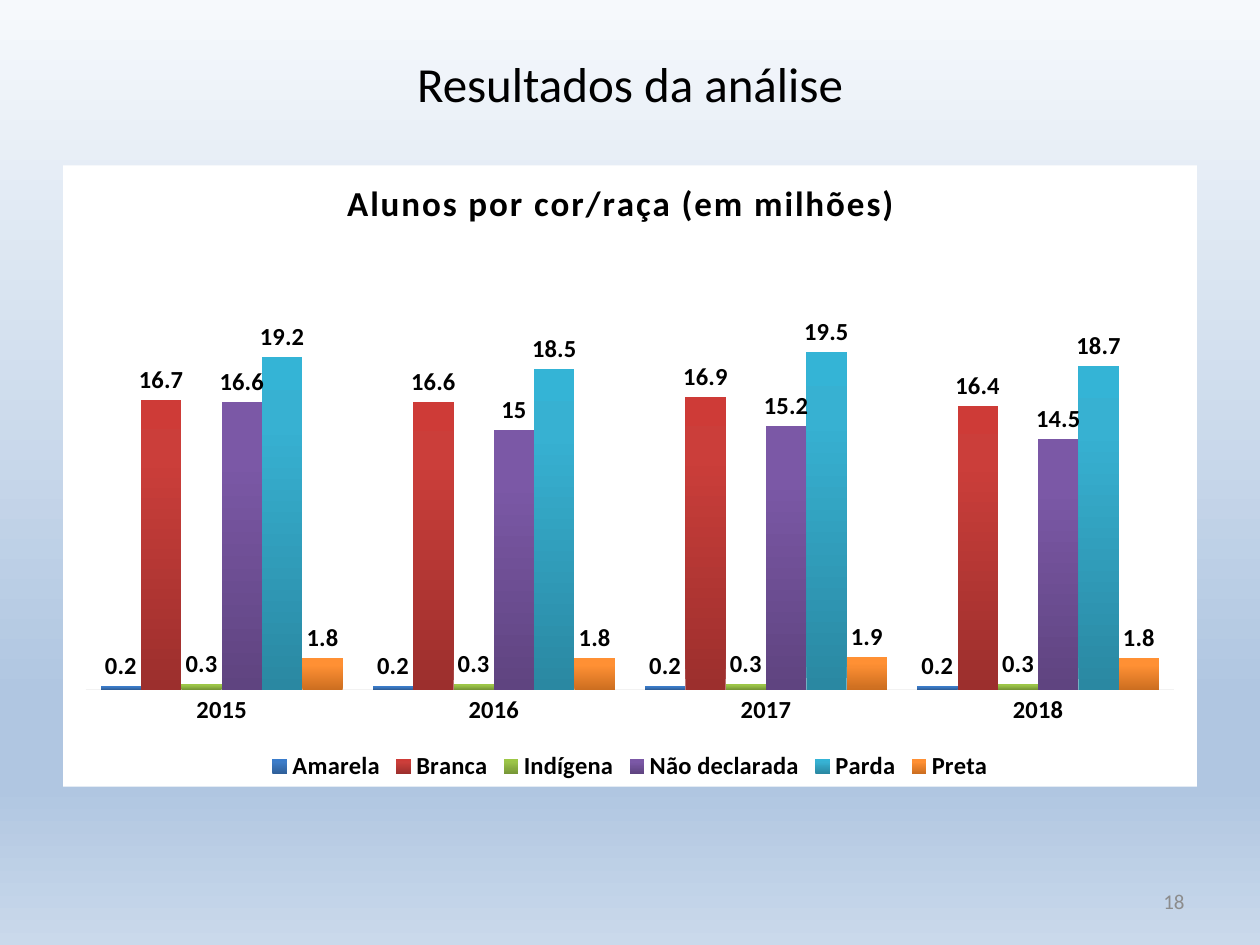
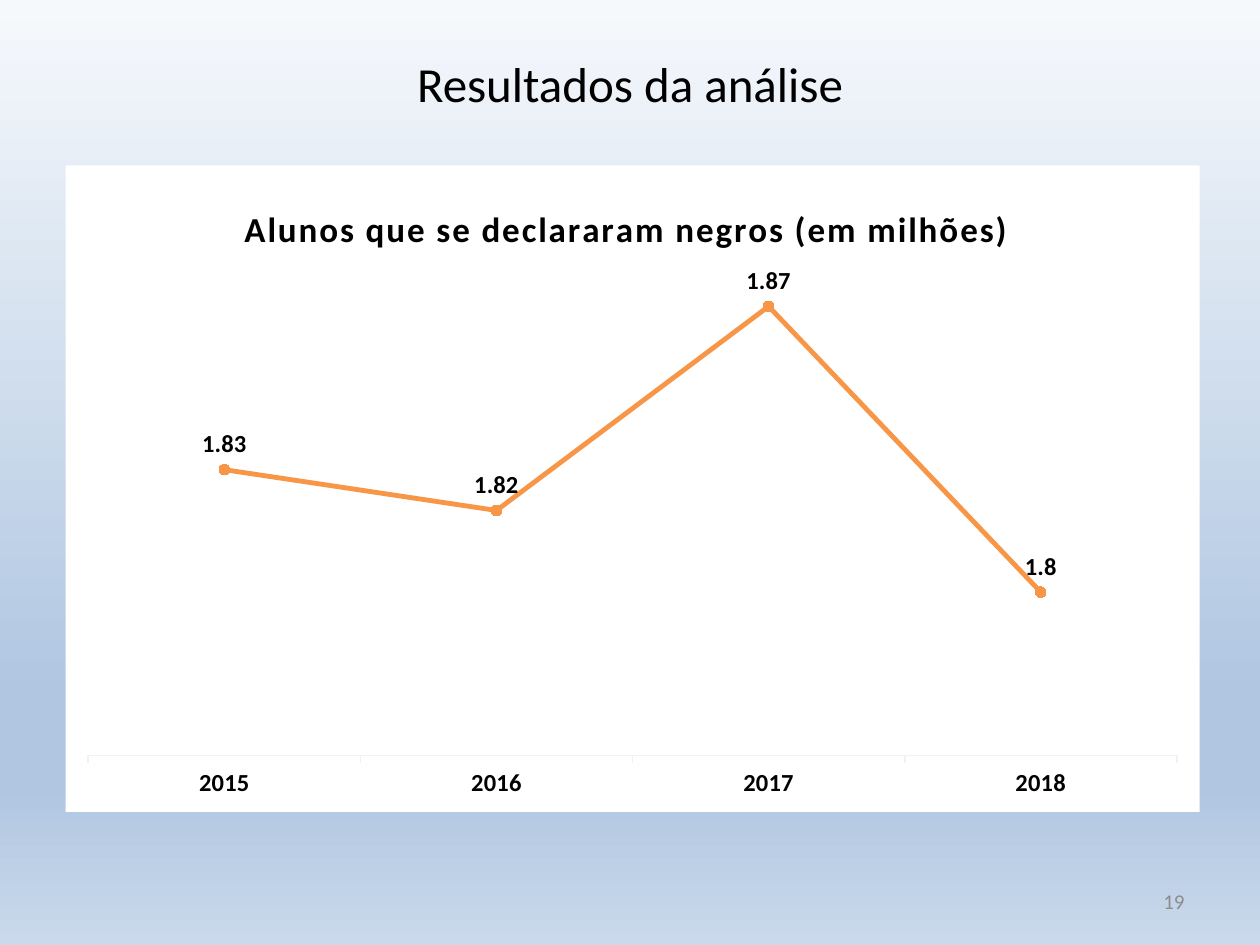
from dataclasses import dataclass
from typing import Optional

import pptx
import pptx.chart.chart
import pptx.chart.data
import pptx.dml.color
import pptx.enum.chart
import pptx.enum.text
import pptx.oxml
import pptx.oxml.ns
import pptx.presentation
import pptx.slide
import pptx.util

Pt = pptx.util.Pt
RGBColor = pptx.dml.color.RGBColor
qn = pptx.oxml.ns.qn
ChartType = pptx.enum.chart.XL_CHART_TYPE
LabelPosition = pptx.enum.chart.XL_LABEL_POSITION
TickMark = pptx.enum.chart.XL_TICK_MARK

FONT = "Calibri"
BLACK = RGBColor(0x00, 0x00, 0x00)
WHITE = RGBColor(0xFF, 0xFF, 0xFF)
NUMBER_GREY = RGBColor(0x8C, 0x8C, 0x8C)
AXIS_GREY = RGBColor(0xF2, 0xF2, 0xF2)
LINE_ORANGE = RGBColor(0xF7, 0x96, 0x46)
MARKER_ORANGE = RGBColor(0xFF, 0x90, 0x34)
SKY_PALE = RGBColor(0xF6, 0xF9, 0xFC)
SKY_DEEP = RGBColor(0xB0, 0xC6, 0xE1)
SKY_FOOT = RGBColor(0xCA, 0xD9, 0xEB)
BACKGROUND = ((0, SKY_PALE), (74, SKY_DEEP), (83, SKY_DEEP), (100, SKY_FOOT))

WIDTH, HEIGHT = 720, 540
TITLE_HEIGHT = 94.5
YEARS = ("2015", "2016", "2017", "2018")


@dataclass(frozen=True)
class Series:
    name: str
    values: tuple[float, ...]
    shades: Optional[tuple[RGBColor, RGBColor, RGBColor]] = None


@dataclass(frozen=True)
class ChartSpec:
    title: str
    kind: ChartType
    left: float
    height: float
    title_at: tuple[float, float]  # fractions of the chart
    plot_top: float
    plot_height: float
    minimum: float
    maximum: float
    tick: TickMark
    label_position: LabelPosition
    series: tuple[Series, ...]


def shades(*codes: str) -> tuple[RGBColor, ...]:
    return tuple(RGBColor.from_string(code) for code in codes)


BY_RACE = ChartSpec(
    "Alunos por cor/raça (em milhões)", ChartType.COLUMN_CLUSTERED, 36, 355,
    (0.245, 0.01), 0.147, 0.697, 0, 25, TickMark.NONE, LabelPosition.OUTSIDE_END,
    (
        Series("Amarela", (0.2, 0.2, 0.2, 0.2), shades("2F5F99", "3D7CC7", "3A7CCB")),
        Series("Branca", (16.7, 16.6, 16.9, 16.4), shades("9C2F2D", "CB3E3A", "CE3B37")),
        Series("Indígena", (0.3, 0.3, 0.3, 0.3), shades("779737", "9BC348", "9DC746")),
        Series("Não declarada", (16.6, 15, 15.2, 14.5), shades("5F4480", "7B58A6", "7C57A8")),
        Series("Parda", (19.2, 18.5, 19.5, 18.7), shades("2A88A2", "37B1D2", "34B4D6")),
        Series("Preta", (1.8, 1.8, 1.9, 1.8), shades("CC6E20", "FF9034", "FF9136")),
    ),
)
BLACK_STUDENTS = ChartSpec(
    "Alunos que se declararam negros (em milhões)", ChartType.LINE_MARKERS, 37.5, 369.4,
    (0.152, 0.05), 0.155, 0.758, 1.76, 1.88, TickMark.OUTSIDE, LabelPosition.ABOVE,
    (Series("Preta", (1.83, 1.82, 1.87, 1.8)),),
)


def style_font(font, size: float, color: RGBColor = BLACK, bold: bool = False) -> None:
    font.name, font.size, font.bold = FONT, Pt(size), bold
    font.color.rgb = color


def set_gradient(parent, stops, angle: int) -> None:
    """Replace the solid fill of an XML element by a linear gradient."""
    gs = "".join(
        f'<a:gs pos="{place * 1000}"><a:srgbClr val="{color}"/></a:gs>' for place, color in stops
    )
    gradient = pptx.oxml.parse_xml(
        f'<a:gradFill {pptx.oxml.ns.nsdecls("a")} rotWithShape="1"><a:gsLst>{gs}</a:gsLst>'
        f'<a:lin ang="{angle * 60000}" scaled="0"/></a:gradFill>'
    )
    parent.replace(parent.find(qn("a:solidFill")), gradient)


def set_layout(parent, index: int, target: str = "", **places: float) -> None:
    """Place a chart title or plot area by fractions of the chart."""
    old = parent.find(qn("c:layout"))
    if old is not None:
        parent.remove(old)
    inner = f'<c:layoutTarget val="{target}"/>' if target else ""
    inner += "".join(f'<c:{k}Mode val="edge"/>' for k in "xy")
    inner += "".join(f'<c:{k} val="{v}"/>' for k, v in places.items())
    parent.insert(index, pptx.oxml.parse_xml(
        f'<c:layout {pptx.oxml.ns.nsdecls("c")}><c:manualLayout>{inner}</c:manualLayout></c:layout>'
    ))


def set_chart_frame(chart: pptx.chart.chart.Chart, spec: ChartSpec) -> None:
    """Set the white ground, the title and the plot area."""
    style_font(chart.font, 10)
    root = chart.element
    root.find(qn("c:chart")).addnext(pptx.oxml.parse_xml(
        f'<c:spPr {pptx.oxml.ns.nsdecls("c", "a")}><a:solidFill><a:srgbClr val="{WHITE}"/>'
        "</a:solidFill><a:ln><a:noFill/></a:ln></c:spPr>"
    ))
    chart.has_title = True
    tf = chart.chart_title.text_frame
    tf.text = spec.title
    style_font(tf.paragraphs[0].runs[0].font, 20, bold=True)
    title = next(root.iter(qn("c:title")))
    next(title.iter(qn("a:rPr"))).set("spc", "100")
    x, y = spec.title_at
    set_layout(title, 1, x=x, y=y)
    plot_area = next(root.iter(qn("c:plotArea")))
    set_layout(plot_area, 0, "inner", x=0.02, y=spec.plot_top, w=0.96, h=spec.plot_height)


def set_axes(chart: pptx.chart.chart.Chart, spec: ChartSpec) -> None:
    values = chart.value_axis
    values.minimum_scale, values.maximum_scale = spec.minimum, spec.maximum
    values.has_major_gridlines = False
    values.visible = False
    years = chart.category_axis
    years.major_tick_mark = spec.tick
    years.minor_tick_mark = TickMark.NONE
    style_font(years.tick_labels.font, 14, bold=True)
    line = years.format.line
    line.width = Pt(1)
    line.color.rgb = AXIS_GREY


def add_chart(s: pptx.slide.Slide, spec: ChartSpec) -> pptx.chart.chart.Chart:
    data = pptx.chart.data.CategoryChartData()
    data.categories = YEARS
    for series in spec.series:
        data.add_series(series.name, series.values)
    chart = s.shapes.add_chart(
        spec.kind, Pt(spec.left), Pt(TITLE_HEIGHT), Pt(648), Pt(spec.height), data
    ).chart
    set_chart_frame(chart, spec)
    set_axes(chart, spec)
    chart.has_legend = False
    plot = chart.plots[0]
    plot.vary_by_categories = False
    for series in plot.series:
        labels = series.data_labels
        labels.show_value = True
        labels.position = spec.label_position
        style_font(labels.font, 14, bold=True)
    return chart


def style_columns(chart: pptx.chart.chart.Chart, spec: ChartSpec) -> None:
    plot = chart.plots[0]
    plot.gap_width, plot.overlap = 75, 0
    for series in plot.series:
        series.format.fill.solid()
    for ser, series in zip(chart.element.iter(qn("c:ser")), spec.series):
        set_gradient(ser.find(qn("c:spPr")), zip((0, 80, 100), series.shades), 270)
    chart.has_legend = True
    legend = chart.legend
    legend.position = pptx.enum.chart.XL_LEGEND_POSITION.BOTTOM
    legend.include_in_layout = False
    style_font(legend.font, 14, bold=True)


def style_line(chart: pptx.chart.chart.Chart) -> None:
    series = chart.plots[0].series[0]
    series.smooth = False
    series.format.line.width = Pt(2.75)
    series.format.line.color.rgb = LINE_ORANGE
    marker = series.marker
    marker.style = pptx.enum.chart.XL_MARKER_STYLE.CIRCLE
    marker.size = 6
    marker.format.fill.solid()
    marker.format.fill.fore_color.rgb = MARKER_ORANGE
    marker.format.line.color.rgb = LINE_ORANGE


def add_results_slide(prs: pptx.presentation.Presentation, number: int) -> pptx.slide.Slide:
    s = prs.slides.add_slide(prs.slide_layouts[5])
    title = s.shapes.title
    title.left, title.top, title.width, title.height = 0, 0, Pt(WIDTH), Pt(TITLE_HEIGHT)
    box = s.shapes.add_textbox(Pt(516), Pt(500.5), Pt(168), Pt(28.75))
    align = pptx.enum.text.PP_ALIGN
    for sp, text, size, color, alignment in (
        (title, "Resultados da análise", 28, BLACK, align.CENTER),
        (box, str(number), 12, NUMBER_GREY, align.RIGHT),
    ):
        tf = sp.text_frame
        tf.text = text
        tf.word_wrap = True
        tf.vertical_anchor = pptx.enum.text.MSO_ANCHOR.MIDDLE
        p = tf.paragraphs[0]
        p.alignment = alignment
        style_font(p.runs[0].font, size, color)
    return s


def main() -> None:
    prs = pptx.Presentation()
    prs.slide_width, prs.slide_height = Pt(WIDTH), Pt(HEIGHT)
    master = prs.slide_master
    master.background.fill.solid()
    set_gradient(next(master.element.iter(qn("p:bgPr"))), BACKGROUND, 90)

    style_columns(add_chart(add_results_slide(prs, 18), BY_RACE), BY_RACE)
    style_line(add_chart(add_results_slide(prs, 19), BLACK_STUDENTS))
    prs.save("out.pptx")


if __name__ == "__main__":
    main()
